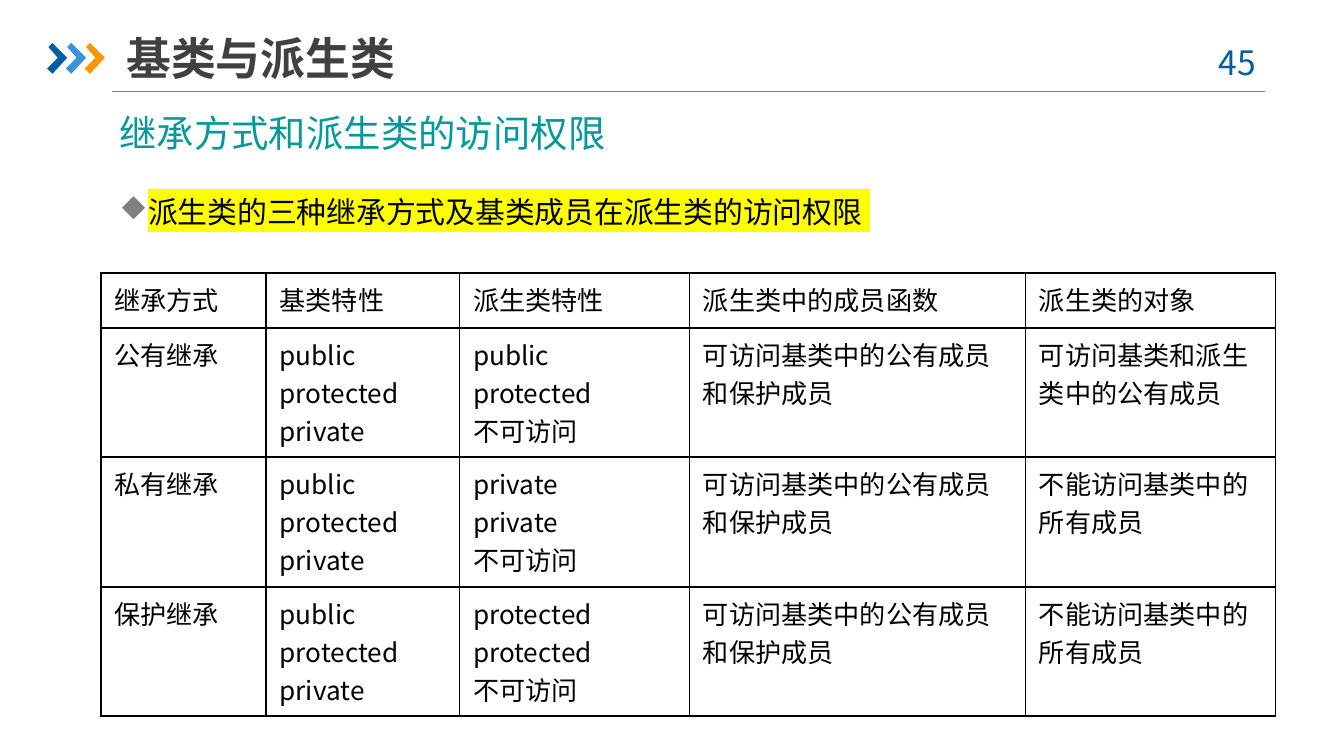
import pptx
import pptx.dml.color
import pptx.enum.shapes
import pptx.enum.text
import pptx.oxml
import pptx.oxml.ns
import pptx.util
from lxml import etree

RGBColor = pptx.dml.color.RGBColor
Pt = pptx.util.Pt
qn = pptx.oxml.ns.qn
ALIGN = pptx.enum.text.PP_ALIGN
ANCHOR = pptx.enum.text.MSO_ANCHOR

PX = 9144  # 100 px to the inch
CJK = "Noto Sans CJK SC"

NAVY = RGBColor(0x00, 0x5D, 0xA2)
BLUE = RGBColor(0x39, 0x92, 0xDB)
ORANGE = RGBColor(0xF7, 0x96, 0x00)
TEAL = RGBColor(0x00, 0x99, 0x99)
DARK = RGBColor(0x40, 0x40, 0x40)
BULLET_GRAY = RGBColor(0x7F, 0x7F, 0x7F)
RULE_GRAY = RGBColor(0x80, 0x80, 0x80)
YELLOW = RGBColor(0xFF, 0xFF, 0x00)
BLACK = RGBColor(0x00, 0x00, 0x00)

CHEVRON = [(1, 3), (4, 0), (15, 11), (4, 23), (0, 19), (8, 11)]
COLUMNS = [123, 144, 171, 250, 186]
ROWS = [41, 96, 97, 96]
BASE_ACCESS = "public\nprotected\nprivate"
MEMBER_ACCESS = "可访问基类中的公有成员\n和保护成员"
NO_OBJECT_ACCESS = "不能访问基类中的\n所有成员"
INHERITANCE = [
    ["继承方式", "基类特性", "派生类特性", "派生类中的成员函数", "派生类的对象"],
    ["公有继承", BASE_ACCESS, "public\nprotected\n不可访问", MEMBER_ACCESS,
     "可访问基类和派生\n类中的公有成员"],
    ["私有继承", BASE_ACCESS, "private\nprivate\n不可访问", MEMBER_ACCESS, NO_OBJECT_ACCESS],
    ["保护继承", BASE_ACCESS, "protected\nprotected\n不可访问", MEMBER_ACCESS, NO_OBJECT_ACCESS],
]


def px(*lengths):
    return [length * PX for length in lengths]


def place(shape, box):
    shape.left, shape.top, shape.width, shape.height = px(*box)


def style_text(frame, size, color, font=CJK, bold=False, align=ALIGN.LEFT):
    for paragraph in frame.paragraphs:
        paragraph.alignment = align
        paragraph.space_before = Pt(0)
        for run in paragraph.runs:
            run.font.size = Pt(size)
            run.font.bold = bold
            run.font.color.rgb = color
            run.font.name = font
            east_asian = etree.Element(qn("a:ea"), typeface=CJK)
            run.font._element.find(qn("a:latin")).addnext(east_asian)


def set_indent(paragraph, margin, indent):
    properties = paragraph._p.get_or_add_pPr()
    properties.set("marL", str(margin * PX))
    properties.set("indent", str(indent * PX))
    return properties


def add_label(slide, box, text, size, color, **style):
    label = slide.shapes.add_textbox(*px(*box))
    frame = label.text_frame
    frame.word_wrap = True
    frame.text = text
    style_text(frame, size, color, **style)
    return frame


def add_chevrons(slide, box):
    left, top, pitch = box
    for index, color in enumerate([NAVY, BLUE, ORANGE]):
        points = [(left + index * pitch + x, top + y) for x, y in CHEVRON]
        builder = slide.shapes.build_freeform(*points[0], scale=PX)
        builder.add_line_segments(points[1:], close=True)
        chevron = builder.convert_to_shape()
        chevron.shadow.inherit = False
        chevron.fill.solid()
        chevron.fill.fore_color.rgb = color
        chevron.line.fill.background()


def add_header(slide, box):
    left, top, width, height = box
    bottom = top + height
    rule = slide.shapes.add_connector(
        pptx.enum.shapes.MSO_CONNECTOR.STRAIGHT,
        *px(left + 48, bottom, left + width, bottom))
    rule.line.color.rgb = RULE_GRAY
    rule.line.width = Pt(0.75)
    etree.SubElement(rule._element.spPr, qn("a:effectLst"))

    add_chevrons(slide, (left, top + 10, 14))
    add_label(slide, (left + 849, top + 4, 73, 40), "45", 18, NAVY, align=ALIGN.CENTER)

    title = slide.shapes.title
    place(title, (left + 59, top, 469, 42))
    frame = title.text_frame
    frame.text = "基类与派生类"
    frame.margin_left = frame.margin_right = 0
    frame.vertical_anchor = ANCHOR.MIDDLE
    frame.auto_size = pptx.enum.text.MSO_AUTO_SIZE.NONE
    style_text(frame, 24, DARK, bold=True)


def add_key_point(slide, box):
    body = slide.placeholders[1]
    place(body, box)
    frame = body.text_frame
    frame.text = "派生类的三种继承方式及基类成员在派生类的访问权限 "
    frame.margin_top = 19 * PX
    frame.auto_size = pptx.enum.text.MSO_AUTO_SIZE.NONE
    point = frame.paragraphs[0]
    properties = set_indent(point, 0, -30)
    bullet_color = etree.SubElement(properties, qn("a:buClr"))
    etree.SubElement(bullet_color, qn("a:srgbClr"), val=str(BULLET_GRAY))
    etree.SubElement(properties, qn("a:buSzPct"), val="95000")
    # "u" is the solid diamond in Wingdings
    etree.SubElement(properties, qn("a:buFont"), typeface="Wingdings", charset="2")
    etree.SubElement(properties, qn("a:buChar"), char="u")
    style_text(frame, 16, BLACK)
    highlight = etree.Element(qn("a:highlight"))
    etree.SubElement(highlight, qn("a:srgbClr"), val=str(YELLOW))
    point.runs[0].font._element.find(qn("a:latin")).addprevious(highlight)


def outline_cell(cell):
    properties = cell._tc.get_or_add_tcPr()
    for side in ("a:lnL", "a:lnR", "a:lnT", "a:lnB"):
        border = etree.SubElement(properties, qn(side), w=str(Pt(1)))
        fill = etree.SubElement(border, qn("a:solidFill"))
        etree.SubElement(fill, qn("a:srgbClr"), val=str(BLACK))


def add_inheritance_table(slide, left, top):
    table = slide.shapes.add_table(
        len(ROWS), len(COLUMNS), *px(left, top, sum(COLUMNS), sum(ROWS))).table
    table.first_row = table.horz_banding = False
    for column, width in zip(table.columns, COLUMNS):
        column.width = width * PX
    for row, height, texts in zip(table.rows, ROWS, INHERITANCE):
        row.height = height * PX
        for cell, text in zip(row.cells, texts):
            outline_cell(cell)
            cell.fill.background()
            cell.text_frame.text = text
            for paragraph in cell.text_frame.paragraphs:
                set_indent(paragraph, 38, -38)
            style_text(cell.text_frame, 14, BLACK)


def main():
    deck = pptx.Presentation()
    deck.slide_width = 1000 * PX
    deck.slide_height = deck.slide_width * 9 // 16
    slide = deck.slides.add_slide(deck.slide_layouts[1])
    add_header(slide, (35, 22, 906, 46))
    subtitle = add_label(slide, (79, 69, 860, 52), "继承方式和派生类的访问权限",
                         20, TEAL, font="Arial")
    subtitle.margin_top = 13 * PX
    add_key_point(slide, (79, 125, 843, 46))
    add_inheritance_table(slide, 75, 203)
    deck.save("out.pptx")


if __name__ == "__main__":
    main()
